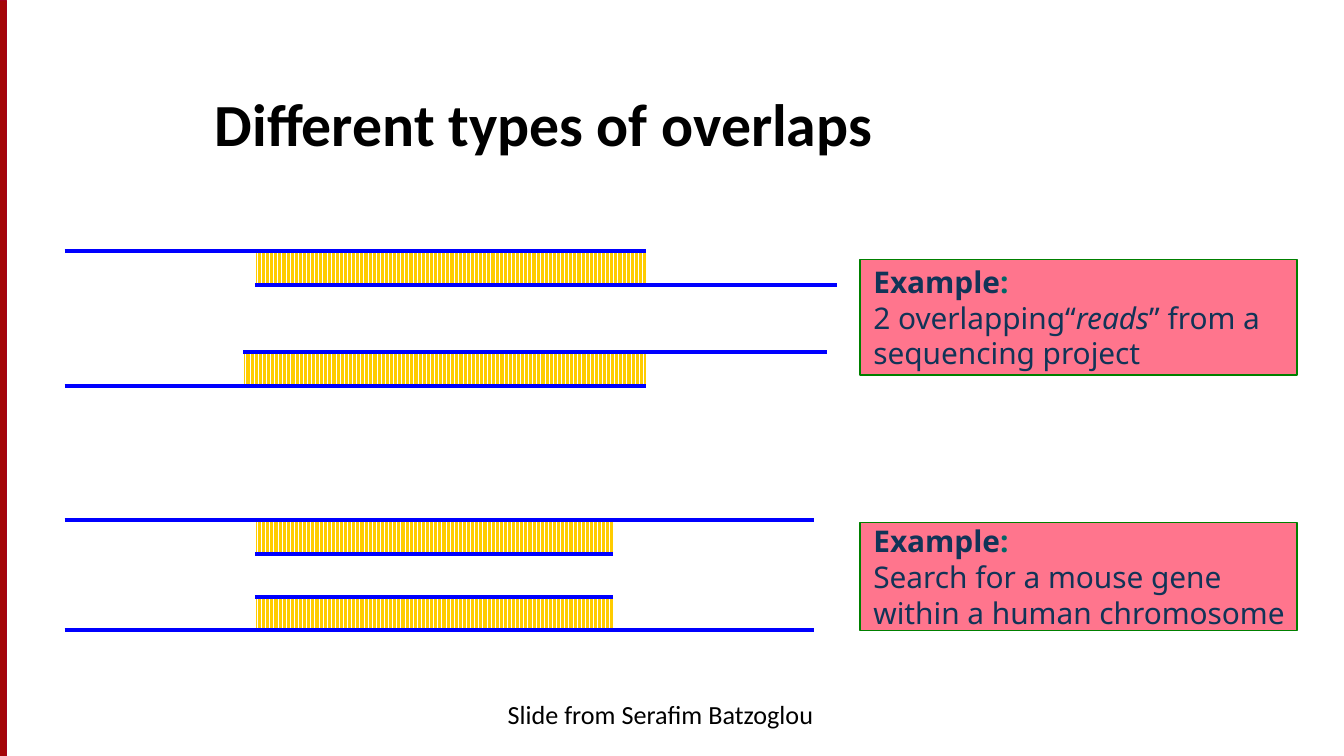
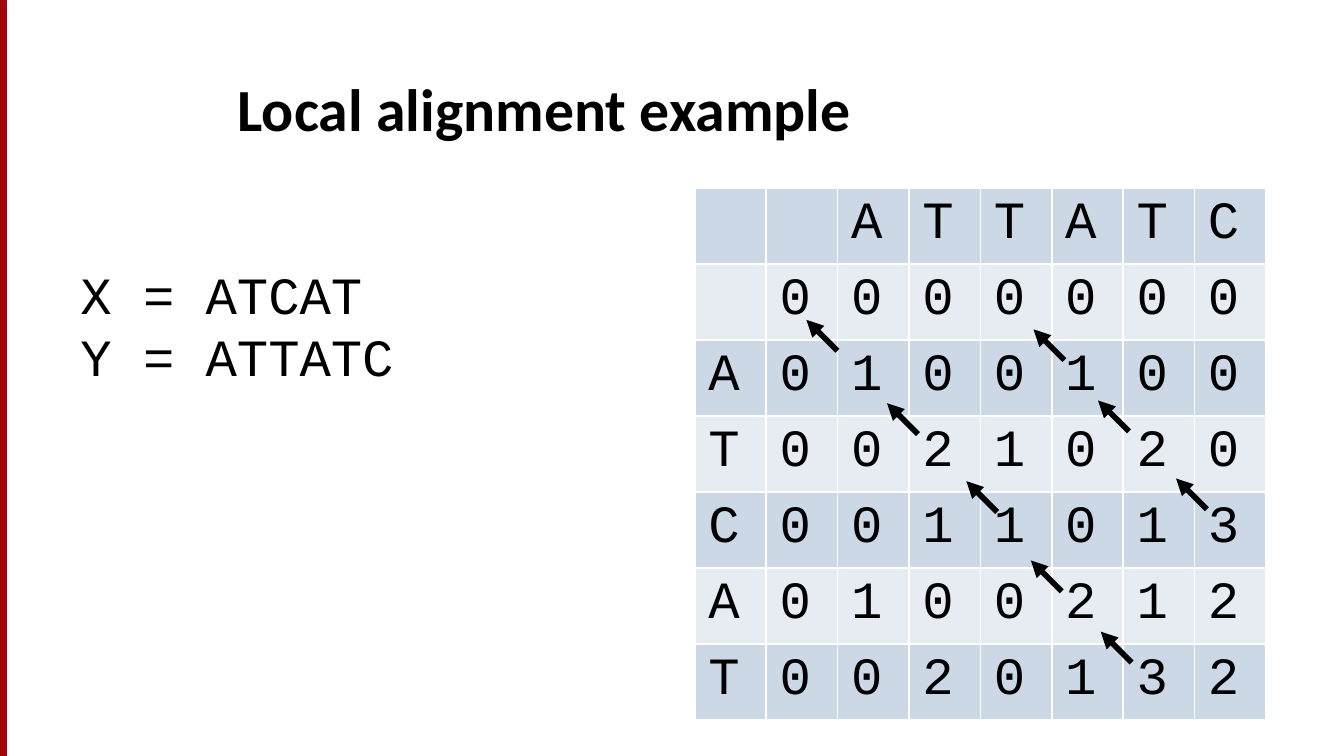
from pptx import Presentation
from pptx.dml.color import RGBColor
from pptx.enum.dml import MSO_PATTERN
from pptx.enum.shapes import MSO_CONNECTOR, MSO_SHAPE
from pptx.enum.text import MSO_ANCHOR, MSO_AUTO_SIZE, PP_ALIGN
from pptx.oxml.ns import qn
from pptx.util import Inches, Pt
from lxml.etree import SubElement

BLACK = RGBColor(0x00, 0x00, 0x00)
WHITE = RGBColor(0xFF, 0xFF, 0xFF)
BAND_RED = RGBColor(0xA4, 0x05, 0x08)
BAND_EDGE = RGBColor(0xA4, 0x00, 0x1D)
SEQUENCE_BLUE = RGBColor(0x00, 0x00, 0xFF)
HATCH_YELLOW = RGBColor(0xFF, 0xCC, 0x00)
NOTE_PINK = RGBColor(0xFF, 0x75, 0x8D)
NOTE_GREEN = RGBColor(0x00, 0x80, 0x00)
NAVY = RGBColor(0x11, 0x34, 0x57)
TEAL = RGBColor(0x00, 0x66, 0x66)
ROW_FILLS = (RGBColor(0xCC, 0xD8, 0xE6), RGBColor(0xE7, 0xEC, 0xF3))

SLIDE_WIDTH = 10
SLIDE_HEIGHT = SLIDE_WIDTH * 9 / 16
STRAND_GAP = 0.25
ARROW_STEP = 0.23


def write_text(frame, paragraphs, font="Calibri", size=14, color=BLACK, bold=False,
               align=PP_ALIGN.LEFT):
    for index, runs in enumerate(paragraphs):
        paragraph = frame.paragraphs[0] if index == 0 else frame.add_paragraph()
        paragraph.alignment = align
        paragraph.font.size = Pt(size)
        paragraph.font.name = font
        for text, changes in [(runs, {})] if isinstance(runs, str) else runs:
            run = paragraph.add_run()
            run.text = text
            run.font.name = font
            run.font.size = Pt(size)
            run.font.bold = changes.get("bold", bold)
            run.font.italic = changes.get("italic", False)
            run.font.color.rgb = changes.get("color", color)


class Deck:
    def __init__(self):
        self.presentation = Presentation()
        self.presentation.slide_width = Inches(SLIDE_WIDTH)
        self.presentation.slide_height = Inches(SLIDE_HEIGHT)
        self.slide = None

    def add_slide(self, title, left, top):
        self.slide = self.presentation.slides.add_slide(self.presentation.slide_layouts[6])
        band = self.rectangle(-2.79, 2.79, SLIDE_HEIGHT, 0.05, BAND_RED, BAND_EDGE)
        band.rotation = 90
        self.text_box(left, top, 8.17, 0.81, [title], anchor=MSO_ANCHOR.BOTTOM,
                      size=32, bold=True)

    def rectangle(self, left, top, width, height, fill=None, edge=None):
        shape = self.slide.shapes.add_shape(
            MSO_SHAPE.RECTANGLE, Inches(left), Inches(top), Inches(width), Inches(height))
        shape.shadow.inherit = False
        if fill is not None:
            shape.fill.solid()
            shape.fill.fore_color.rgb = fill
        if edge is None:
            shape.line.fill.background()
        else:
            shape.line.color.rgb = edge
            shape.line.width = Pt(0.75)
        return shape

    def text_box(self, left, top, width, height, paragraphs, anchor=MSO_ANCHOR.TOP, **style):
        box = self.slide.shapes.add_textbox(
            Inches(left), Inches(top), Inches(width), Inches(height))
        frame = box.text_frame
        frame.word_wrap = True
        frame.auto_size = MSO_AUTO_SIZE.NONE
        frame.vertical_anchor = anchor
        write_text(frame, paragraphs, **style)

    def line(self, start, end, color, width, arrow=False):
        connector = self.slide.shapes.add_connector(
            MSO_CONNECTOR.STRAIGHT, *(Inches(value) for value in (*start, *end)))
        connector.line.color.rgb = color
        connector.line.width = Pt(width)
        if arrow:
            outline = connector._element.spPr.find(qn("a:ln"))
            SubElement(outline, qn("a:tailEnd"), type="triangle")
        SubElement(connector._element.spPr, qn("a:effectLst"))

    def overlap(self, top, upper, lower):
        left, right = max(upper[0], lower[0]), min(upper[1], lower[1])
        hatch = self.rectangle(left, top + 0.01, right - left, STRAND_GAP)
        hatch.fill.patterned()
        hatch.fill.pattern = MSO_PATTERN.DARK_VERTICAL
        hatch.fill.fore_color.rgb = HATCH_YELLOW
        hatch.fill.back_color.rgb = WHITE
        for (start, end), y in ((upper, top), (lower, top + STRAND_GAP)):
            self.line((start, y), (end, y), SEQUENCE_BLUE, 2)

    def example(self, top, height, paragraphs):
        shape = self.rectangle(6.4, top, 3.25, height, NOTE_PINK, NOTE_GREEN)
        frame = shape.text_frame
        frame.word_wrap = False
        frame.vertical_anchor = MSO_ANCHOR.MIDDLE
        heading = [("Example", {"bold": True}), (":", {"bold": True, "color": TEAL})]
        write_text(frame, [heading, *paragraphs], font="Noto Sans", size=16, color=NAVY)

    def score_table(self, left, top, width, height, rows):
        table = self.slide.shapes.add_table(
            len(rows), len(rows[0]), Inches(left), Inches(top),
            Inches(width), Inches(height)).table
        for row_index, row in enumerate(rows):
            for column_index, value in enumerate(row):
                cell = table.cell(row_index, column_index)
                self.cell_borders(cell)
                cell.fill.solid()
                cell.fill.fore_color.rgb = ROW_FILLS[row_index % 2]
                write_text(cell.text_frame, [[] if value == " " else value],
                           font="Courier New", size=28)

    def cell_borders(self, cell):
        properties = cell._tc.get_or_add_tcPr()
        for side in ("lnL", "lnR", "lnT", "lnB"):
            border = SubElement(properties, qn(f"a:{side}"), w=str(Pt(0.96)))
            fill = SubElement(border, qn("a:solidFill"))
            SubElement(fill, qn("a:srgbClr"), val=str(WHITE))


def overlap_slide(deck):
    deck.add_slide("Different types of overlaps", 1.5, 0.42)
    deck.overlap(1.87, (0.48, 4.81), (1.9, 6.23))
    deck.overlap(2.62, (1.81, 6.15), (0.48, 4.81))
    deck.overlap(3.87, (0.48, 6.06), (1.9, 4.56))
    deck.overlap(4.44, (1.9, 4.56), (0.48, 6.06))
    deck.example(1.93, 0.86, [
        [("2 overlapping“", {}), ("reads", {"italic": True}), ("” from a", {})],
        "sequencing project"])
    deck.example(3.89, 0.8, ["Search for a mouse gene", "within a human chromosome"])
    deck.text_box(3.33, 5.15, 3.17, 0.37, ["Slide from Serafim Batzoglou"],
                  align=PP_ALIGN.CENTER)


def alignment_slide(deck):
    deck.add_slide("Local alignment example", 1.67, 0.31)
    deck.score_table(5.17, 1.4, 4.25, 3.96, [
        "  ATTATC",
        " 0000000",
        "A0100100",
        "T0021020",
        "C0011013",
        "A0100212",
        "T0020132"])
    arrow_starts = [(8.98, 3.79), (8.4, 3.21), (7.92, 2.68),
                    (8.42, 4.93), (7.9, 4.4), (7.42, 3.81), (6.83, 3.23), (6.23, 2.61)]
    for x, y in arrow_starts:
        deck.line((x, y), (x - ARROW_STEP, y - ARROW_STEP), BLACK, 3, arrow=True)
    deck.text_box(0.5, 1.9, 3.25, 1.5, ["X = ATCAT", "Y = ATTATC"],
                  font="Courier New", size=28)


def main():
    deck = Deck()
    overlap_slide(deck)
    alignment_slide(deck)
    deck.presentation.save("out.pptx")


if __name__ == "__main__":
    main()
